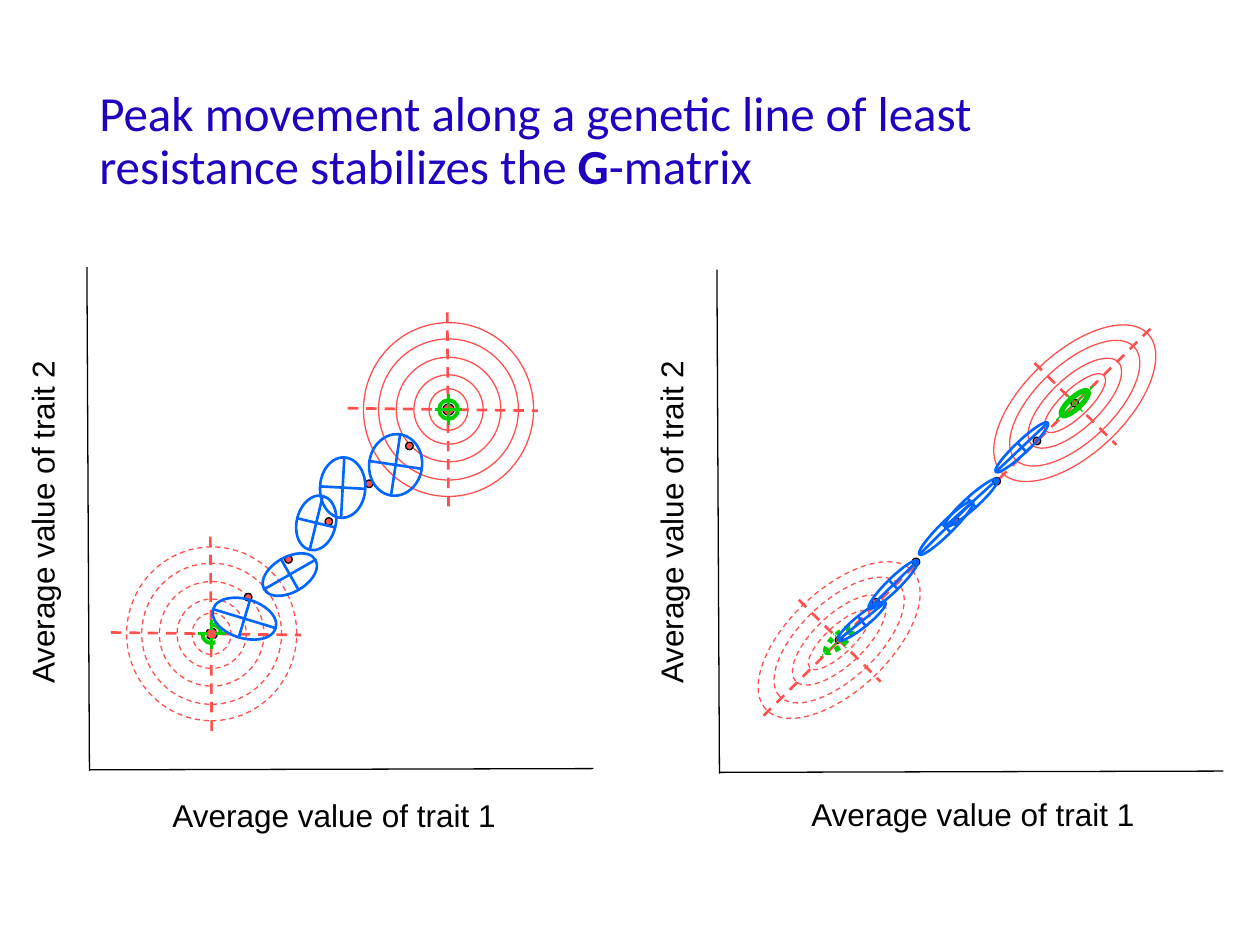
from dataclasses import dataclass
from math import cos, radians, sin

from lxml.etree import SubElement
from pptx import Presentation
from pptx.dml.color import RGBColor
from pptx.enum.dml import MSO_LINE as Dash
from pptx.enum.shapes import MSO_CONNECTOR as Connector, MSO_SHAPE as Shape
from pptx.enum.text import MSO_ANCHOR as Anchor, MSO_AUTO_SIZE as AutoSize
from pptx.oxml.ns import qn
from pptx.util import Inches, Pt


@dataclass(frozen=True)
class Theme:
    """Colours, fonts and type sizes of the slide."""
    peak: str = "FF5050"
    optimum: str = "00CC00"
    matrix: str = "0066FF"
    ink: str = "000000"
    title: str = "1D02BE"
    title_font: str = "Calibri"
    label_font: str = "Arial"
    title_size: int = 28
    label_size: int = 18
    thin: float = 0.75
    medium: float = 1.5


@dataclass(frozen=True)
class Landscape:
    """One panel: two peaks, the path between them and its G-matrices."""
    peaks: tuple
    rings: tuple
    tilt: float
    ridges: tuple
    dot: float
    optimum: tuple
    optimum_arms: tuple
    optimum_weights: tuple
    optimum_dash: Dash
    first_step: tuple
    stride: tuple
    matrices: tuple


THEME = Theme()
STEPS = 5
STEP_DOT = 0.06

ROUND_PEAKS = Landscape(
    peaks=((1.68, 5.03), (3.56, 3.25)),
    rings=((0.33, 0.31), (0.55, 0.55), (0.83, 0.83), (1.12, 1.11), (1.38, 1.35)),
    tilt=271.9,
    ridges=(((0, 0.77), (-0.01, -0.77)), ((-0.8, -0.01), (0.71, 0.01))),
    dot=0.09,
    optimum=(0.15, 0.15, 270),
    optimum_arms=(0.24, 0.22),
    optimum_weights=(2.25, 1.5),
    optimum_dash=Dash.DASH,
    first_step=(1.97, 4.74),
    stride=(0.32, -0.3),
    matrices=(
        (1.94, 4.91, 0.31, 0.52, 286.8),
        (2.3, 4.56, 0.28, 0.47, 240.2),
        (2.51, 4.15, 0.44, 0.31, 283.6),
        (3.14, 3.69, 0.49, 0.42, 278.5),
        (2.72, 3.87, 0.48, 0.36, 273.1),
    ),
)

TILTED_PEAKS = Landscape(
    peaks=((6.66, 5.08), (8.53, 3.2)),
    rings=((0.64, 0.22), (0.95, 0.4), (1.3, 0.61), (1.6, 0.8)),
    tilt=316.6,
    ridges=(((-0.6, 0.6), (0.62, -0.61)), ((-0.32, -0.32), (0.33, 0.33))),
    dot=0.06,
    optimum=(0.28, 0.09, 317.6),
    optimum_arms=(0.4, 0.18),
    optimum_weights=(3, 0.75),
    optimum_dash=Dash.ROUND_DOT,
    first_step=(6.95, 4.78),
    stride=(0.32, -0.32),
    matrices=(
        (6.84, 4.93, 0.48, 0.1, 321.2),
        (7.09, 4.64, 0.54, 0.1, 315.5),
        (7.51, 4.19, 0.6, 0.1, 315.3),
        (7.71, 3.99, 0.56, 0.1, 317.9),
        (8.11, 3.55, 0.57, 0.1, 316.6),
    ),
)


def style_line(line, color, weight, dash):
    """Set the colour, weight and optional dash of an outline."""
    line.color.rgb = RGBColor.from_string(color)
    line.width = Pt(weight)
    if dash is not None:
        line.dash_style = dash


def add_line(shapes, start, end, color, weight, dash=None):
    """Draw a straight line without a shadow."""
    stroke = shapes.add_connector(Connector.STRAIGHT, *map(Inches, (*start, *end)))
    style_line(stroke.line, color, weight, dash)
    SubElement(stroke._element.spPr, qn("a:effectLst"))


def add_ellipse(shapes, center, size, tilt, color, weight, dash=None, fill=None):
    """Draw an ellipse around a centre point."""
    (x, y), (width, height) = center, size
    ellipse = shapes.add_shape(
        Shape.OVAL, Inches(x - width / 2), Inches(y - height / 2), Inches(width), Inches(height)
    )
    ellipse.rotation = tilt
    ellipse.shadow.inherit = False
    if fill:
        ellipse.fill.solid()
        ellipse.fill.fore_color.rgb = RGBColor.from_string(fill)
    else:
        ellipse.fill.background()
    style_line(ellipse.line, color, weight, dash)


def add_cross(shapes, center, arms, tilt, color, weight, dash=None):
    """Draw the two principal axes of a tilted ellipse."""
    x, y = center
    for length, angle in zip(arms, (tilt, tilt + 90)):
        dx, dy = length / 2 * cos(radians(angle)), length / 2 * sin(radians(angle))
        add_line(shapes, (x - dx, y - dy), (x + dx, y + dy), color, weight, dash)


def add_dot(shapes, center, size, dash=None):
    """Draw a filled marker for a peak position."""
    add_ellipse(shapes, center, (size, size), 0, THEME.ink, THEME.thin, dash, THEME.peak)


def add_peak(shapes, land, center, dash, optimum_dash):
    """Draw the contour rings, ridges and optimum of a peak."""
    x, y = center
    for (x1, y1), (x2, y2) in land.ridges:
        add_line(shapes, (x + x1, y + y1), (x + x2, y + y2), THEME.peak, THEME.medium, Dash.DASH)
    for ring in land.rings:
        add_ellipse(shapes, center, ring, land.tilt, THEME.peak, THEME.thin, dash)
    add_dot(shapes, center, land.dot, dash)
    *size, tilt = land.optimum
    outline, axis = land.optimum_weights
    add_ellipse(shapes, center, size, tilt, THEME.optimum, outline, optimum_dash)
    add_cross(shapes, center, land.optimum_arms, tilt, THEME.optimum, axis, optimum_dash)


def add_landscape(slide, land):
    """Draw one panel's peaks, path and G-matrices as a group."""
    shapes = slide.shapes.add_group_shape().shapes
    old_peak, new_peak = land.peaks
    add_peak(shapes, land, old_peak, Dash.DASH, land.optimum_dash)
    add_peak(shapes, land, new_peak, None, None)
    (x, y), (dx, dy) = land.first_step, land.stride
    for step in range(STEPS):
        add_dot(shapes, (x + step * dx, y + step * dy), STEP_DOT)
    for cx, cy, width, height, tilt in land.matrices:
        add_ellipse(shapes, (cx, cy), (width, height), tilt, THEME.matrix, THEME.medium)
        add_cross(shapes, (cx, cy), (width, height), tilt, THEME.matrix, THEME.medium)


def add_run(paragraph, text, font, size, color, bold=None):
    """Append one formatted run."""
    run = paragraph.add_run()
    run.text = text
    run.font.name, run.font.size, run.font.bold = font, Pt(size), bold
    run.font.color.rgb = RGBColor.from_string(color)


def add_label(slide, text, left, top, rotation=0):
    """Add an axis label."""
    label = slide.shapes.add_textbox(*map(Inches, (left, top, 2.79, 0.4)))
    label.rotation = rotation
    label.text_frame.word_wrap = False
    label.text_frame.auto_size = AutoSize.SHAPE_TO_FIT_TEXT
    add_run(label.text_frame.paragraphs[0], text, THEME.label_font, THEME.label_size, THEME.ink)


def add_title(slide):
    """Add the slide title with its bold matrix symbol."""
    frame = slide.shapes.add_textbox(*map(Inches, (0.69, 0.4, 8.62, 1.45))).text_frame
    frame.word_wrap = True
    frame.vertical_anchor = Anchor.MIDDLE
    heading = frame.paragraphs[0]
    heading.line_spacing = 0.9
    for text, bold in (
        ("Peak movement along a genetic line of least resistance stabilizes the ", False),
        ("G", True),
        ("-matrix", False),
    ):
        add_run(heading, text, THEME.title_font, THEME.title_size, THEME.title, bold)


def main():
    """Build and save the slide."""
    deck = Presentation()
    deck.slide_width, deck.slide_height = Inches(10), Inches(7.5)
    slide = deck.slides.add_slide(deck.slide_layouts[6])
    for land in (ROUND_PEAKS, TILTED_PEAKS):
        add_landscape(slide, land)
    for x, y in ((0.69, 2.12), (5.69, 2.14)):
        add_line(slide.shapes, (x, y), (x + 0.02, y + 4), THEME.ink, THEME.thin)
        add_line(slide.shapes, (x + 0.02, y + 3.99), (x + 4.02, y + 3.98), THEME.ink, THEME.thin)
    for left, top in ((1.27, 6.27), (6.34, 6.26)):
        add_label(slide, "Average value of trait 1", left, top)
    for left in (-1.06, 3.93):
        add_label(slide, "Average value of trait 2", left, 3.93, 270)
    add_title(slide)
    deck.save("out.pptx")


if __name__ == "__main__":
    main()
